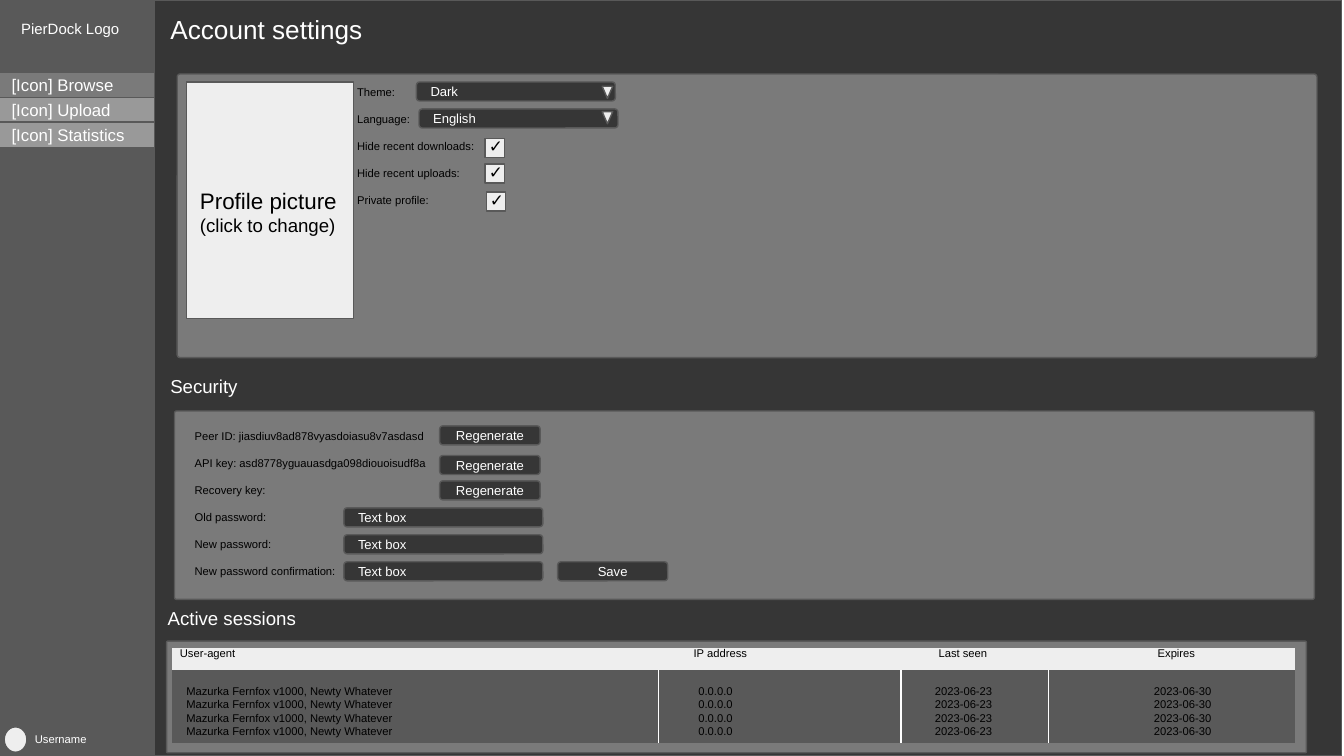
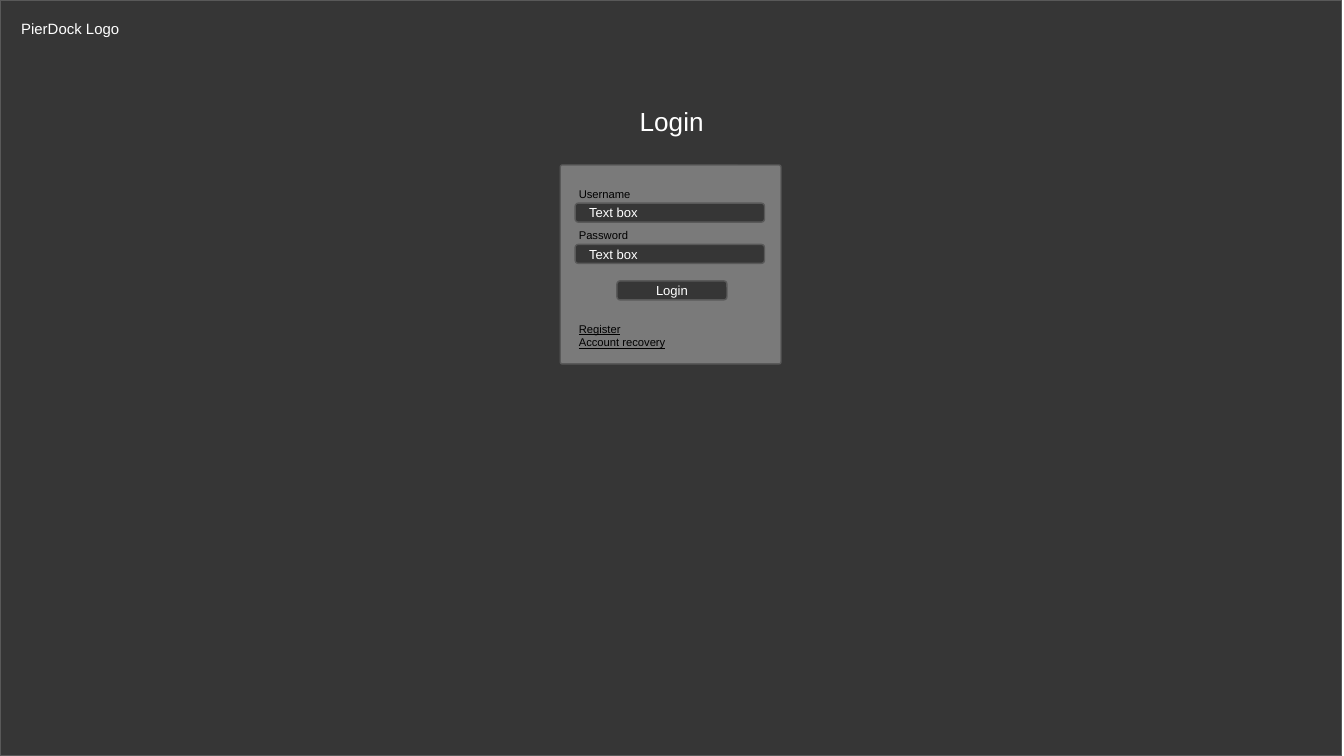
from lxml import etree
from pptx import Presentation
from pptx import util as u
from pptx.dml.color import RGBColor
from pptx.enum import shapes, text
from pptx.oxml import ns

# Colours
DARK = RGBColor(0x36, 0x36, 0x36)
EDGE = RGBColor(0x59, 0x59, 0x59)
PANEL = RGBColor(0x7A, 0x7A, 0x7A)
ITEM = RGBColor(0x99, 0x99, 0x99)
PALE = RGBColor(0xEE, 0xEE, 0xEE)
WHITE = RGBColor(0xFF, 0xFF, 0xFF)
BLACK = RGBColor(0, 0, 0)

# Shared measures, in centimetres and points
WIDTH, HEIGHT = 25.4, 14.29
INSET = 0.25
FIELD_H = 0.36
LINE = 7.2
LOGO = "PierDock Logo"
NO_GRID = "{2D5ABB26-0587-4C30-8999-92F81FD0307C}"

ST = shapes.MSO_SHAPE
MIDDLE = text.MSO_ANCHOR.MIDDLE
TOP = text.MSO_ANCHOR.TOP
LEFT = text.PP_ALIGN.LEFT
CENTER = text.PP_ALIGN.CENTER


def cms(*lengths):
    return [u.Cm(v) for v in lengths]


def add_run(p, words, size, color, **extra):
    r = p.add_run()
    r.text = words
    fmt = {"name": "Arial", "size": u.Pt(size), **extra}
    for key, value in fmt.items():
        setattr(r.font, key, value)
    r.font.color.rgb = color


def set_frame(tf, anchor):
    fmt = {"word_wrap": True, "vertical_anchor": anchor,
           "auto_size": text.MSO_AUTO_SIZE.NONE}
    for side in ("left", "right", "top", "bottom"):
        fmt["margin_" + side] = u.Cm(INSET)
    for key, value in fmt.items():
        setattr(tf, key, value)


def add_box(s, box, fill, kind=ST.RECTANGLE, adj=None):
    sp = s.shapes.add_shape(kind, *cms(*box))
    sp.shadow.inherit = False
    sp.fill.solid()
    sp.fill.fore_color.rgb = fill
    sp.line.color.rgb = EDGE
    sp.line.width = u.Pt(0.75)
    if adj is not None:
        sp.adjustments[0] = adj
    return sp


def add_panel(s, box):
    add_box(s, box, PANEL, ST.ROUNDED_RECTANGLE, 0.01)


def add_caption(sp, words, size, align=LEFT):
    set_frame(sp.text_frame, MIDDLE)
    p = sp.text_frame.paragraphs[0]
    p.alignment = align
    add_run(p, words, size, WHITE)


def add_field(s, x, y, w, words, align=LEFT):
    sp = add_box(s, (x, y, w, FIELD_H), DARK, ST.ROUNDED_RECTANGLE, 0.167)
    add_caption(sp, words, 7, align)


def add_button(s, x, y, w, words):
    add_field(s, x, y, w, words, CENTER)


def add_dropdown(s, x, y, words, arrow_y):
    add_field(s, x, y, 3.76, words)
    arrow = add_box(s, (11.38, arrow_y, 0.2, 0.23), PALE,
                    ST.ISOSCELES_TRIANGLE)
    arrow.rotation = 180


def add_text(s, box, lines, color, align=LEFT):
    """Each line is (words, size, space after, extra font values)."""
    tf = s.shapes.add_textbox(*cms(*box)).text_frame
    set_frame(tf, TOP)
    for i, (words, size, after, extra) in enumerate(lines):
        p = tf.paragraphs[0] if i == 0 else tf.add_paragraph()
        p.alignment = align
        p.space_after = u.Pt(after)
        add_run(p, words, size, color, **extra)


def add_label(s, box, words, size, color=WHITE, align=LEFT):
    add_text(s, box, [(words, size, 0, {})], color, align)


def add_label_list(s, box, labels):
    add_text(s, box, [(words, 6, LINE, {}) for words in labels], BLACK)


def add_logo(s):
    add_label(s, (0.15, 0.13, 2.67, 0.86), LOGO, 8)


def add_checkbox(s, x, y):
    add_box(s, (x, y, FIELD_H, FIELD_H), PALE, ST.FLOWCHART_PROCESS)
    add_label(s, (x - 0.18, y - 0.3, 0.71, 0.89), "✓", 9, BLACK)


def add_border(tc, tag, position):
    ln = etree.Element(ns.qn(tag), w=str(u.Pt(0.75)))
    fill = etree.SubElement(ln, ns.qn("a:solidFill"))
    etree.SubElement(fill, ns.qn("a:srgbClr"), val=str(WHITE))
    tc.get_or_add_tcPr().insert(position, ln)


def add_sessions(s, x, y, rows, widths, heights, indents):
    frame = s.shapes.add_table(len(rows), len(widths),
                               *cms(x, y, sum(widths), sum(heights)))
    table = frame.table
    table.first_row = table.horz_banding = False
    table._tbl.tblPr.find(ns.qn("a:tableStyleId")).text = NO_GRID
    for column, w in zip(table.columns, widths):
        column.width = u.Cm(w)
    for i, (values, h) in enumerate(zip(rows, heights)):
        table.rows[i].height = u.Cm(h)
        for j, words in enumerate(values):
            cell = table.cell(i, j)
            fmt = {"margin_left": u.Cm(indents[min(i, 1)][j]),
                   "margin_right": 0, "margin_top": 0, "margin_bottom": 0,
                   "vertical_anchor": text.MSO_ANCHOR.BOTTOM if i == 1
                   else TOP}
            for key, value in fmt.items():
                setattr(cell, key, value)
            cell.fill.solid()
            cell.fill.fore_color.rgb = EDGE if i else PALE
            add_run(cell.text_frame.paragraphs[0], words, 6, BLACK)
            # White rules between the body columns
            if i and j < len(widths) - 1:
                add_border(cell._tc, "a:lnR", 0)
            if i and j:
                add_border(cell._tc, "a:lnL", 0)


def add_sidebar(s):
    add_box(s, (0, 0, 2.97, HEIGHT), EDGE)
    add_logo(s)
    for i, name in enumerate(("Browse", "Upload", "Statistics")):
        item = add_box(s, (-0.03, 1.37 + 0.47 * i, 2.97, 0.48),
                       ITEM if i else PANEL)
        add_caption(item, f"[Icon] {name}", 9)
    add_box(s, (0.08, 13.74, 0.43, 0.48), PALE, ST.OVAL)
    add_label(s, (0.41, 13.59, 2.34, 0.76), "Username", 6)


def add_profile(s):
    add_label(s, (2.97, 0, 5.33, 1.12), "Account settings", 14)
    add_panel(s, (3.35, 1.4, 21.54, 5.36))
    add_box(s, (3.53, 1.55, 3.15, 4.47), PALE)
    add_text(s, (3.53, 3.28, 3.15, 1.45),
             [("Profile picture", 12, 0, {}),
              ("(click to change)", 10, 0, {})], BLACK)
    add_label_list(s, (6.5, 1.37, 6.5, 3.86),
                   ("Theme:", "Language:", "Hide recent downloads:",
                    "Hide recent uploads:", "Private profile:"))
    add_dropdown(s, 7.87, 1.55, "Dark", 1.63)
    add_dropdown(s, 7.92, 2.06, "English", 2.11)
    for x, y in ((9.17, 2.62), (9.17, 3.1), (9.19, 3.63)):
        add_checkbox(s, x, y)


def add_security(s):
    add_label(s, (2.97, 6.83, 5.33, 0.94), "Security", 10)
    add_panel(s, (3.3, 7.77, 21.54, 3.56))
    add_label_list(s, (3.43, 7.87, 6.5, 3.86),
                   ("Peer ID: jiasdiuv8ad878vyasdoiasu8v7asdasd",
                    "API key: asd8778yguauasdga098diouoisudf8a",
                    "Recovery key:", "Old password:", "New password:",
                    "New password confirmation:"))
    for y in (8.05, 8.61, 9.09):
        add_button(s, 8.31, y, 1.9, "Regenerate")
    for i in range(3):
        add_field(s, 6.5, 9.6 + 0.51 * i, 3.76, "Text box")
    add_button(s, 10.54, 10.62, 2.08, "Save")


def add_active_sessions(s):
    add_label(s, (2.92, 11.23, 5.33, 0.94), "Active sessions", 10)
    add_panel(s, (3.15, 12.12, 21.54, 2.11))
    header = ("User-agent", "IP address", "Last seen", "Expires")
    session = ("Mazurka Fernfox v1000, Newty Whatever", "0.0.0.0",
               "2023-06-23", "2023-06-30")
    add_sessions(s, 3.25, 12.24, [header] + [session] * 4,
                 widths=(9.2, 4.58, 2.79, 4.66),
                 heights=(0.43, 0.53, 0.26, 0.26, 0.33),
                 indents=((0.15, 0.66, 0.71, 2.06),
                          (0.27, 0.75, 0.64, 1.99)))


def build_settings(s):
    add_sidebar(s)
    add_box(s, (2.92, 0, 22.43, HEIGHT), DARK)
    add_profile(s)
    add_security(s)
    add_active_sessions(s)


def build_login(s):
    add_box(s, (0, 0, 25.35, HEIGHT), DARK)
    add_label(s, (10.03, 1.75, 5.33, 1.12), "Login", 14, align=CENTER)
    add_panel(s, (10.59, 3.12, 4.17, 3.76))
    add_logo(s)
    add_text(s, (10.69, 3.3, 3.96, 4.62),
             [("Username", 6, 2 * LINE, {}),
              ("Password", 6, 6 * LINE, {}),
              ("Register", 6, 0, {"underline": True}),
              ("Account recovery", 6, 0, {"underline": True})], BLACK)
    add_button(s, 11.66, 5.31, 2.08, "Login")
    for y in (3.84, 4.62):
        add_field(s, 10.87, y, 3.58, "Text box")


def main():
    prs = Presentation()
    prs.slide_width, prs.slide_height = cms(WIDTH, HEIGHT)
    for build in (build_settings, build_login):
        build(prs.slides.add_slide(prs.slide_layouts[6]))
    prs.save("out.pptx")


if __name__ == "__main__":
    main()
